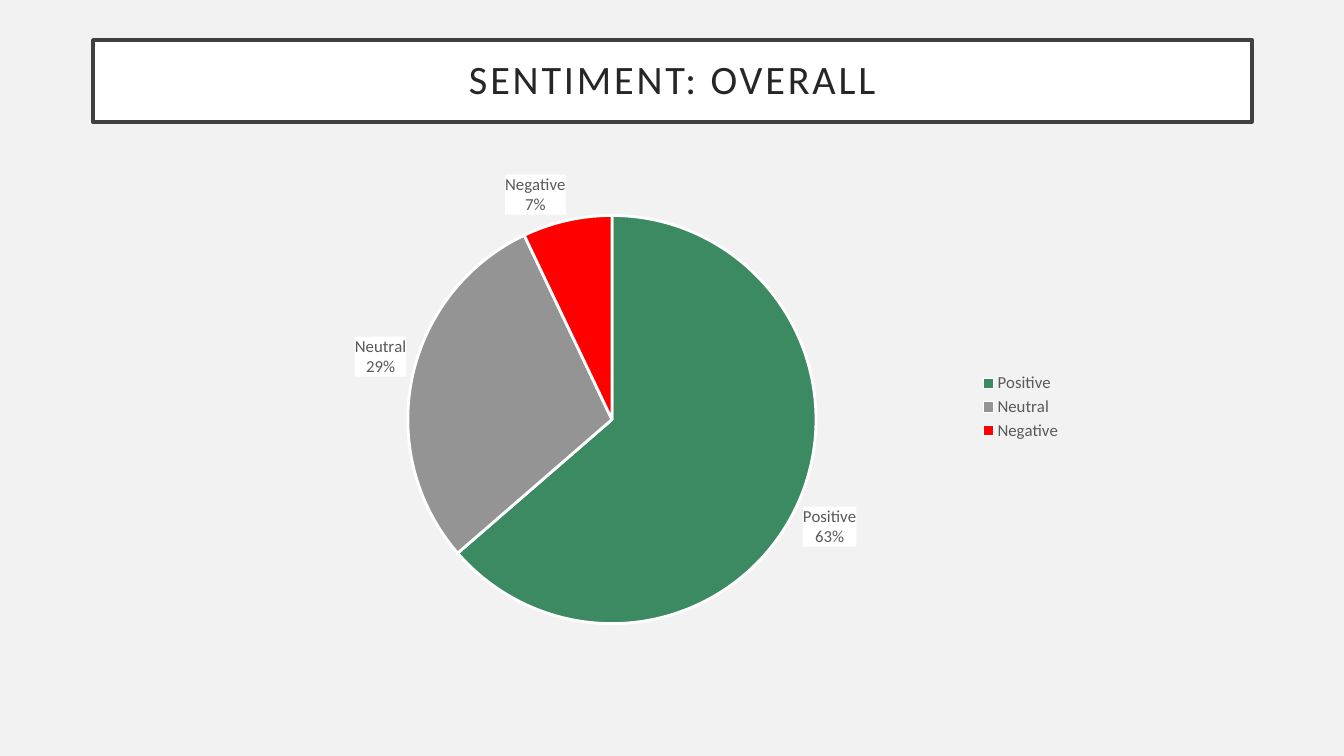
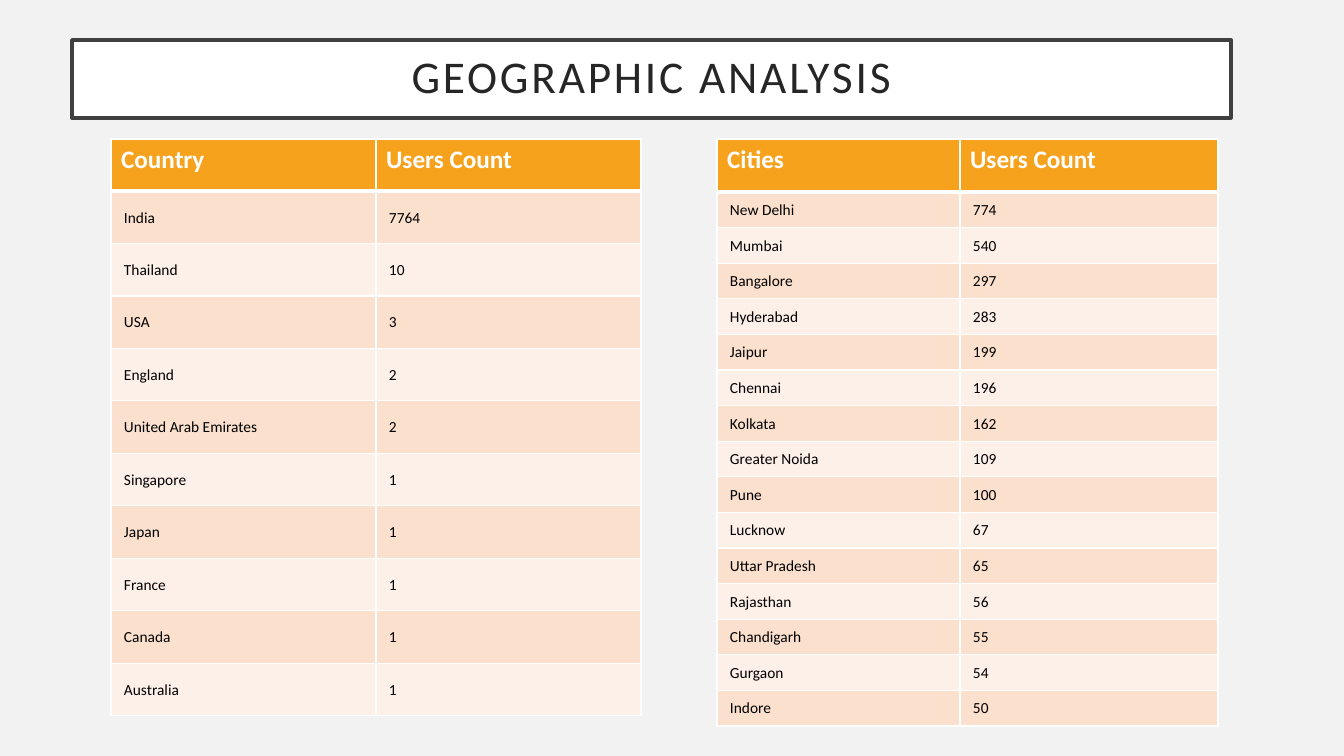
import pptx
import pptx.chart.data
import pptx.dml.color
import pptx.enum.chart
import pptx.enum.text
import pptx.oxml
import pptx.oxml.ns
import pptx.util
from dataclasses import dataclass

PX = 12192000 / 1344  # EMU per px
qn = pptx.oxml.ns.qn
NS = pptx.oxml.ns.nsdecls("a", "c")


@dataclass(frozen=True)
class Theme:
    font: str = "Calibri"
    background: str = "F2F2F2"
    white: str = "FFFFFF"
    frame: str = "404040"
    title: str = "262626"
    label: str = "595959"
    body: str = "000000"
    header: str = "F6A21D"
    bands: tuple = ("FBE0CD", "FDF0E8")
    slices: tuple = ("3C8A62", "949494", "FF0000")
    header_size: int = 18
    body_size: int = 11
    label_size: int = 12


def px(n):
    return pptx.util.Emu(round(n * PX))


def rgb(color):
    return pptx.dml.color.RGBColor.from_string(color)


def fill(obj, color):
    obj.fill.solid()
    obj.fill.fore_color.rgb = rgb(color)


def outline(obj, color, width):
    obj.line.color.rgb = rgb(color)
    obj.line.width = pptx.util.Pt(width)


class Deck:
    def __init__(self, theme):
        self.t = theme
        self.prs = pptx.Presentation()
        self.prs.slide_width, self.prs.slide_height = px(1344), px(756)
        fill(self.prs.slide_master.background, theme.background)
        self.s = None

    def style(self, font, size, color, bold=False):
        values = {"name": self.t.font, "size": pptx.util.Pt(size), "bold": bold}
        for name, value in values.items():
            setattr(font, name, value)
        font.color.rgb = rgb(color)

    # Framed slide title
    def slide(self, title, left, height, size):
        self.s = self.prs.slides.add_slide(self.prs.slide_layouts[5])
        sp = self.s.shapes.title
        sp.left, sp.top, sp.width, sp.height = map(px, (left, 40, 1159, height))
        fill(sp, self.t.white)
        outline(sp, self.t.frame, 2.5)
        tf = sp.text_frame
        values = {
            "word_wrap": True,
            "auto_size": pptx.enum.text.MSO_AUTO_SIZE.NONE,
            "vertical_anchor": pptx.enum.text.MSO_ANCHOR.MIDDLE,
        }
        values.update({f"margin_{side}": px(20) for side in ("left", "top", "right", "bottom")})
        for name, value in values.items():
            setattr(tf, name, value)
        p = tf.paragraphs[0]
        p.alignment = pptx.enum.text.PP_ALIGN.CENTER
        p.line_spacing = 0.9
        r = p.add_run()
        r.text = title
        self.style(r.font, size, self.t.title)
        r.font._element.set("spc", "200")

    # Pie chart with labels and legend
    def pie(self, box, categories, values, layout):
        data = pptx.chart.data.CategoryChartData()
        data.categories = categories
        data.add_series("Series 1", values)
        kind = pptx.enum.chart.XL_CHART_TYPE.PIE
        chart = self.s.shapes.add_chart(kind, *map(px, box), data).chart
        chart.has_title = False
        self.style(chart.font, 10, self.t.body)
        chart.has_legend = True
        chart.legend.position = pptx.enum.chart.XL_LEGEND_POSITION.RIGHT
        chart.legend.include_in_layout = False
        self.style(chart.legend.font, self.t.label_size, self.t.label)
        chart.plots[0].vary_by_categories = True
        series = chart.plots[0].series[0]
        for i, color in enumerate(self.t.slices):
            fmt = series.points[i].format
            fill(fmt, color)
            outline(fmt, self.t.white, 2)
        self.pie_labels(series.data_labels)
        self.plot_layout(chart, layout)

    def pie_labels(self, labels):
        values = {
            "number_format": '0"%"',
            "number_format_is_linked": False,
            "position": pptx.enum.chart.XL_LABEL_POSITION.OUTSIDE_END,
            "show_category_name": True,
            "show_value": True,
            "show_percentage": False,
        }
        for name, value in values.items():
            setattr(labels, name, value)
        self.style(labels.font, self.t.label_size, self.t.label)
        el = labels._element
        el.find(qn("c:txPr")).addprevious(pptx.oxml.parse_xml(
            f'<c:spPr {NS}><a:solidFill><a:srgbClr val="{self.t.white}"/></a:solidFill></c:spPr>'))
        el.find(qn("c:showBubbleSize")).addnext(pptx.oxml.parse_xml(
            f"<c:separator {NS}>\n</c:separator>"))

    def plot_layout(self, chart, layout):
        area = chart._chartSpace.chart.plotArea
        for old in area.findall(qn("c:layout")):
            area.remove(old)
        sizes = "".join(f'<c:{k} val="{v}"/>' for k, v in zip("xywh", layout))
        area.insert(0, pptx.oxml.parse_xml(
            f'<c:layout {NS}><c:manualLayout><c:layoutTarget val="inner"/>'
            f'<c:xMode val="edge"/><c:yMode val="edge"/>{sizes}</c:manualLayout></c:layout>'))

    # Banded table
    def table(self, left, top, widths, height, header_height, rows):
        frame = self.s.shapes.add_table(
            len(rows), len(widths), px(left), px(top), px(sum(widths)), px(height))
        table = frame.table
        table.horz_banding = False
        for column, width in zip(table.columns, widths):
            column.width = px(width)
        row_height = (height - header_height) / (len(rows) - 1)
        for i, row in enumerate(rows):
            table.rows[i].height = px(row_height if i else header_height)
            for j, text in enumerate(row):
                self.cell(table.cell(i, j), str(text), i)

    def cell(self, cell, text, row):
        p = cell.text_frame.paragraphs[0]
        r = p.add_run()
        r.text = text
        if row == 0:
            fill(cell, self.t.header)
            self.style(r.font, self.t.header_size, self.t.white, True)
        else:
            fill(cell, self.t.bands[(row - 1) % 2])
            self.style(r.font, self.t.body_size, self.t.body)
            values = {
                "vertical_anchor": pptx.enum.text.MSO_ANCHOR.MIDDLE,
                "margin_left": px(1), "margin_top": px(1),
                "margin_right": px(1), "margin_bottom": 0,
            }
            for name, value in values.items():
                setattr(cell, name, value)
            p._p.get_or_add_pPr().set("marL", str(px(12)))
        self.borders(cell, row)

    def borders(self, cell, row):
        tcPr = cell._tc.get_or_add_tcPr()
        for i, side in enumerate("LRTB"):
            heavy = (row == 0 and side == "B") or (row == 1 and side == "T")
            width = pptx.util.Pt(3 if heavy else 1)
            tcPr.insert(i, pptx.oxml.parse_xml(
                f'<a:ln{side} {NS} w="{width}"><a:solidFill>'
                f'<a:srgbClr val="{self.t.white}"/></a:solidFill></a:ln{side}>'))


COUNTRIES = [
    ("Country", "Users Count"), ("India", 7764), ("Thailand", 10), ("USA", 3),
    ("England", 2), ("United Arab Emirates", 2), ("Singapore", 1), ("Japan", 1),
    ("France", 1), ("Canada", 1), ("Australia", 1),
]
CITIES = [
    ("Cities", "Users Count"), ("New Delhi", 774), ("Mumbai", 540), ("Bangalore", 297),
    ("Hyderabad", 283), ("Jaipur", 199), ("Chennai", 196), ("Kolkata", 162),
    ("Greater Noida", 109), ("Pune", 100), ("Lucknow", 67), ("Uttar Pradesh", 65),
    ("Rajasthan", 56), ("Chandigarh", 55), ("Gurgaon", 54), ("Indore", 50),
]


def main():
    deck = Deck(Theme())

    # Sentiment
    deck.slide("SENTIMENT: OVERALL", 93, 82, 28.8)
    deck.pie((272, 155, 800, 504), ("Positive", "Neutral", "Negative"), (63, 29, 7),
             (0.06, 0.12, 0.73, 0.81))

    # Geography
    deck.slide("GEOGRAPHIC ANALYSIS", 72, 78, 32.4)
    deck.table(111, 139, (265, 265), 577, 52, COUNTRIES)
    deck.table(717, 139, (243, 258), 587, 53, CITIES)

    deck.prs.save("out.pptx")


if __name__ == "__main__":
    main()
